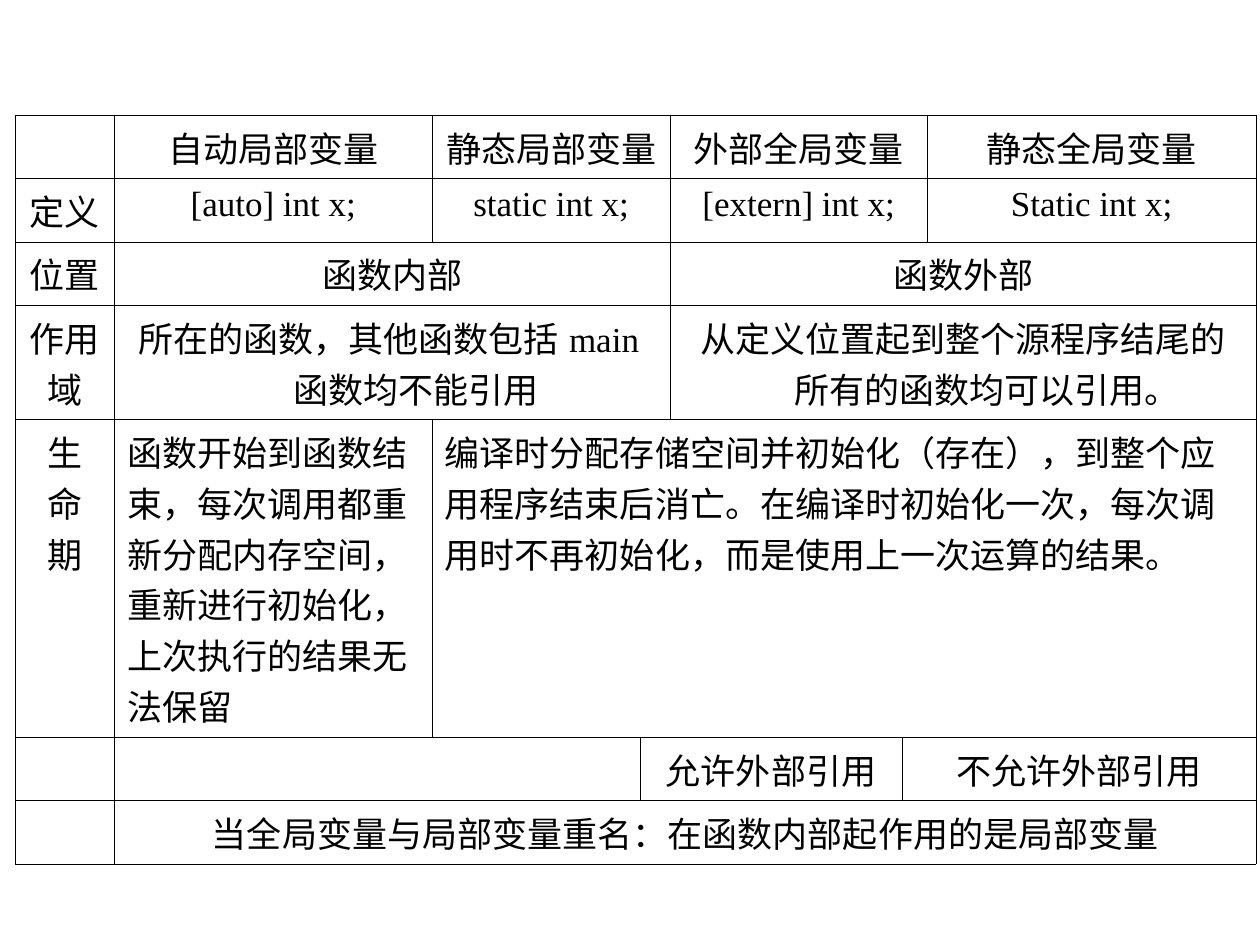
from lxml.etree import SubElement
from pptx import Presentation
from pptx.dml.color import RGBColor
from pptx.enum.text import PP_ALIGN
from pptx.oxml.ns import qn
from pptx.util import Pt

COLORS = {"ink": "000000"}
FONT = "Times New Roman"
HANGING = Pt(27.36)
COLUMN_WIDTHS = [56.9, 181.4, 118.8, 17.3, 132.5, 14.4, 187.9]
ROW_HEIGHTS = [33.8, 31.7, 31.7, 55.4, 151.2, 35.3, 33.8]

# Each row lists (columns spanned, paragraphs) from left to right.
ROWS = [
    [(1, []), (1, ["自动局部变量"]), (2, ["静态局部变量"]),
     (2, ["外部全局变量"]), (1, ["静态全局变量"])],
    [(1, ["定义"]), (1, ["[auto] int x;"]), (2, ["static int x;"]),
     (2, ["[extern] int x;"]), (1, ["Static int x;"])],
    [(1, ["位置"]), (3, ["函数内部"]), (3, ["函数外部"])],
    [(1, ["作用", "域"]),
     (3, ["所在的函数，其他函数包括main函数均不能引用"]),
     (3, ["从定义位置起到整个源程序结尾的所有的函数均可以引用。"])],
    [(1, ["生", "命", "期"]),
     (1, ["函数开始到函数结", "束，每次调用都重", "新分配内存空间，",
          "重新进行初始化，", "上次执行的结果无", "法保留"]),
     (5, ["编译时分配存储空间并初始化（存在），到整个应",
          "用程序结束后消亡。在编译时初始化一次，每次调",
          "用时不再初始化，而是使用上一次运算的结果。"])],
    [(1, []), (2, []), (2, ["允许外部引用"]), (2, ["不允许外部引用"])],
    [(1, []), (6, ["当全局变量与局部变量重名：在函数内部起作用的是局部变量"])],
]
LIFETIME_ROW = 4


def add_borders(cell):
    properties = cell._tc.get_or_add_tcPr()
    for side in ("a:lnL", "a:lnR", "a:lnT", "a:lnB"):
        border = SubElement(properties, qn(side), w=str(Pt(0.45)))
        fill = SubElement(border, qn("a:solidFill"))
        SubElement(fill, qn("a:srgbClr"), val=COLORS["ink"])


def write_paragraphs(cell, lines, alignment):
    for index, line in enumerate(lines):
        frame = cell.text_frame
        paragraph = frame.add_paragraph() if index else frame.paragraphs[0]
        paragraph.alignment = alignment
        properties = paragraph._p.get_or_add_pPr()
        properties.set("marL", str(HANGING))
        properties.set("indent", str(-HANGING))
        run = paragraph.add_run()
        run.text = line
        run.font.name = FONT
        run.font.size = Pt(20)
        run.font.color.rgb = RGBColor.from_string(COLORS["ink"])


presentation = Presentation()
presentation.slide_width = Pt(720)
presentation.slide_height = Pt(540)
slide = presentation.slides.add_slide(presentation.slide_layouts[6])

comparison = slide.shapes.add_table(
    len(ROW_HEIGHTS), len(COLUMN_WIDTHS), Pt(8.64), Pt(65.7),
    Pt(sum(COLUMN_WIDTHS)), Pt(sum(ROW_HEIGHTS))).table
comparison.first_row = False
comparison.horz_banding = False
for column, width in zip(comparison.columns, COLUMN_WIDTHS):
    column.width = Pt(width)
for row, height in zip(comparison.rows, ROW_HEIGHTS):
    row.height = Pt(height)

for cell in comparison.iter_cells():
    add_borders(cell)
    cell.fill.background()

for row_index, entries in enumerate(ROWS):
    start = 0
    for span, lines in entries:
        cell = comparison.cell(row_index, start)
        if span > 1:
            cell.merge(comparison.cell(row_index, start + span - 1))
        is_description = row_index == LIFETIME_ROW and start > 0
        write_paragraphs(cell, lines,
                         PP_ALIGN.LEFT if is_description else PP_ALIGN.CENTER)
        start += span

presentation.save("out.pptx")
